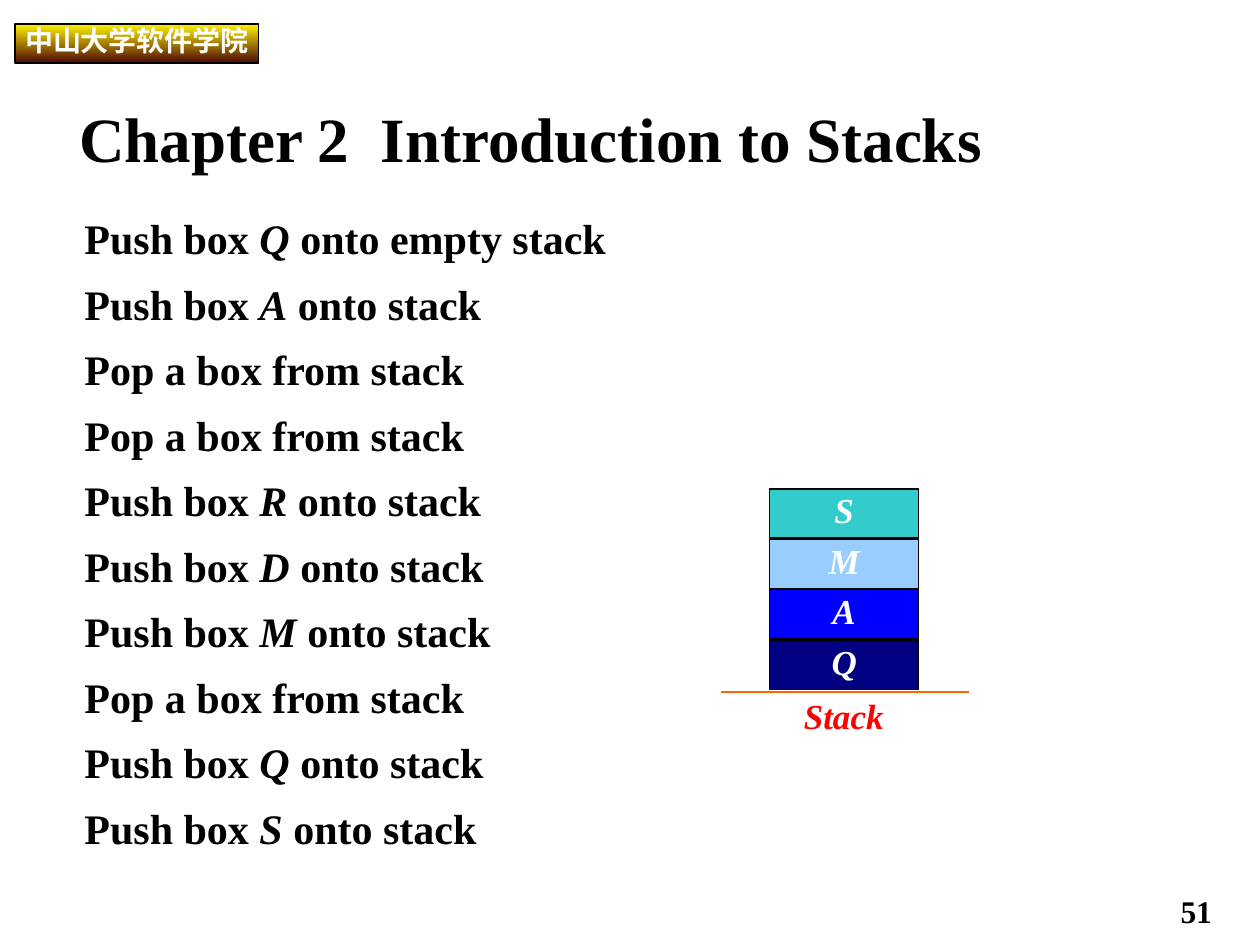
from dataclasses import dataclass

from lxml.etree import SubElement
from pptx import Presentation
from pptx.dml.color import RGBColor
from pptx.enum.shapes import MSO_CONNECTOR, MSO_SHAPE
from pptx.enum.text import MSO_ANCHOR, PP_ALIGN
from pptx.oxml.ns import qn
from pptx.util import Inches, Pt


@dataclass(frozen=True)
class Theme:
    serif: str = "Times New Roman"
    sans: str = "DejaVu Sans"
    ink: str = "000000"
    light: str = "FFFFFF"
    accent: str = "FF0000"
    ground: str = "FF6600"
    badge_top: str = "FFF200"
    badge_bottom: str = "4D0808"
    title: int = 36
    body: int = 24
    label: int = 20
    page: int = 18
    badge: int = 16
    border: float = 0.75
    ground_width: float = 1


theme = Theme()


def write(shape, paragraphs, *, size, color=theme.ink, font=theme.serif, italic=False,
          align=PP_ALIGN.LEFT, spacing=1.0, margins=(0, 0, 0, 0), wrap=True):
    """Fill a shape with bold text; text between asterisks toggles italics."""
    frame = shape.text_frame
    frame.word_wrap = wrap
    frame.vertical_anchor = MSO_ANCHOR.TOP
    (frame.margin_left, frame.margin_top,
     frame.margin_right, frame.margin_bottom) = map(Inches, margins)
    for index, text in enumerate(paragraphs):
        paragraph = frame.add_paragraph() if index else frame.paragraphs[0]
        paragraph.alignment = align
        paragraph.line_spacing = spacing
        for part, words in enumerate(text.split("*")):
            run = paragraph.add_run()
            run.text = words
            run.font.name = font
            run.font.size = Pt(size)
            run.font.bold = True
            run.font.italic = italic or part % 2 == 1
            run.font.color.rgb = RGBColor.from_string(color)


def add_block(left, top, width, height):
    """Add a thinly outlined rectangle without a shadow."""
    block = slide.shapes.add_shape(
        MSO_SHAPE.RECTANGLE, Inches(left), Inches(top), Inches(width), Inches(height))
    block.shadow.inherit = False
    block.line.color.rgb = RGBColor.from_string(theme.ink)
    block.line.width = Pt(theme.border)
    return block


prs = Presentation()
prs.slide_width, prs.slide_height = Inches(10), Inches(7.5)
slide = prs.slides.add_slide(prs.slide_layouts[6])

# Page number
page_number = slide.shapes.add_textbox(Inches(9.17), Inches(7.08), Inches(0.55), Inches(0.3))
write(page_number, ["51"], size=theme.page, align=PP_ALIGN.CENTER, margins=(0.1, 0, 0, 0))

# School badge
school = add_block(0.12, 0.19, 1.93, 0.31)
school.fill.gradient()
school.fill.gradient_angle = 270
for stop, position, color in zip(school.fill.gradient_stops, (0, 1),
                                 (theme.badge_top, theme.badge_bottom)):
    stop.position = position
    stop.color.rgb = RGBColor.from_string(color)
write(school, ["中山大学软件学院"], size=theme.badge, color=theme.light, font=theme.sans,
      margins=(0.08, 0, 0.08, 0.04), wrap=False)

# Title
title = slide.shapes.add_textbox(Inches(0.63), Inches(0.79), Inches(8.75), Inches(0.6))
write(title, ["Chapter 2  Introduction to Stacks"], size=theme.title)

# Sequence of stack operations
operations = [
    "Push box *Q* onto empty stack",
    "Push box *A* onto stack",
    "Pop a box from stack",
    "Pop a box from stack",
    "Push box *R* onto stack",
    "Push box *D* onto stack",
    "Push box *M* onto stack",
    "Pop a box from stack",
    "Push box *Q* onto stack",
    "Push box *S* onto stack",
]
steps = slide.shapes.add_textbox(Inches(0.63), Inches(1.57), Inches(4.35), Inches(5.24))
write(steps, operations, size=theme.body, spacing=1.3, margins=(0.04, 0, 0.04, 0.04))

# Ground line under the stack
ground = slide.shapes.add_connector(
    MSO_CONNECTOR.STRAIGHT, Inches(5.72), Inches(5.49), Inches(7.69), Inches(5.49))
ground.line.color.rgb = RGBColor.from_string(theme.ground)
ground.line.width = Pt(theme.ground_width)
SubElement(ground._element.spPr, qn("a:effectLst"))

# Boxes on the stack, from top to bottom
boxes = [("S", "33CCCC"), ("M", "99CCFF"), ("A", "0000FF"), ("Q", "000080")]
for level, (letter, color) in enumerate(boxes):
    box = add_block(6.11, 3.88 + 0.4 * level, 1.18, 0.39)
    box.fill.solid()
    box.fill.fore_color.rgb = RGBColor.from_string(color)
    write(box, [letter], size=theme.label, color=theme.light, italic=True,
          align=PP_ALIGN.CENTER)

# Stack caption
caption = slide.shapes.add_textbox(Inches(6.38), Inches(5.51), Inches(0.66), Inches(0.33))
write(caption, ["Stack"], size=theme.label, color=theme.accent, italic=True, wrap=False)

prs.save("out.pptx")
